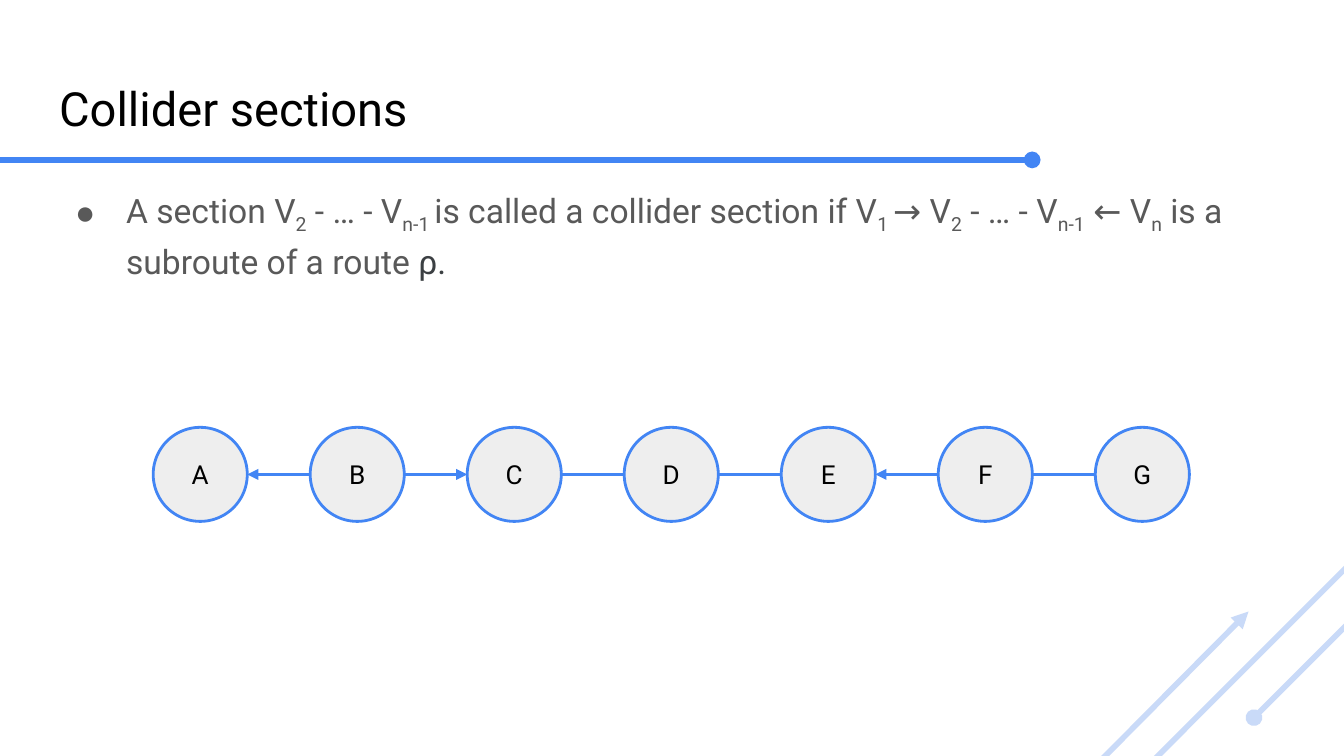
from lxml import etree
from pptx import Presentation
from pptx.dml.color import RGBColor
from pptx.enum import shapes, text
from pptx.oxml import ns
from pptx.util import Inches, Pt

BLUE = RGBColor(0x42, 0x85, 0xF4)
PALE_BLUE = RGBColor(0xC9, 0xDA, 0xF8)
NODE_FILL = RGBColor(0xEE, 0xEE, 0xEE)
BLACK = RGBColor(0, 0, 0)
GREY = RGBColor(0x59, 0x59, 0x59)
DARK_GREY = RGBColor(0x3C, 0x40, 0x43)
FONT = "Roboto"
BULLET_FONT = "Arial"

# Content
TITLE = "Collider sections"
DEFINITION = [  # text, is subscript, colour
    ("A section V", False, GREY), ("2", True, GREY),
    (" - … - V", False, GREY), ("n-1 ", True, GREY),
    ("is called a collider section if V", False, GREY), ("1 ", True, GREY),
    ("→ V", False, GREY), ("2", True, GREY),
    (" - … - V", False, GREY), ("n-1", True, GREY),
    (" ← V", False, GREY), ("n", True, GREY),
    (" is a subroute of a route ", False, GREY), ("ρ.", False, DARK_GREY),
]
NODES = "ABCDEFG"
EDGES = ["←", "→", "-", "-", "←", "-"]  # between neighbouring nodes
DECORATIONS = [  # start, end, colour, end marks
    ((-0.08, 1.19), (7.68, 1.19), BLUE, {"tailEnd": "oval"}),
    ((9.33, 5.34), (10.42, 4.25), PALE_BLUE, {"headEnd": "oval"}),
    ((8.34, 5.9), (10.07, 4.17), PALE_BLUE, {}),
    ((9.29, 4.55), (8.04, 5.81), PALE_BLUE, {"headEnd": "triangle"}),
]

# Node row
NODE_LEFT, NODE_TOP, NODE_SIZE = 1.14, 3.18, 0.7
NODE_STEP = 7.01 / (len(NODES) - 1)


def add_child(parent, tag, **attributes):
    return etree.SubElement(parent, ns.qn(tag), attributes)


def set_font(font, size, color=None):
    font.name, font.size = FONT, Pt(size)
    if color is not None:
        font.color.rgb = color


def set_frame(frame, anchor):
    frame.word_wrap = True
    frame.auto_size = text.MSO_AUTO_SIZE.NONE
    frame.vertical_anchor = anchor
    frame.margin_left = frame.margin_right = Inches(0.1)
    frame.margin_top = frame.margin_bottom = Inches(0.1)


def add_line(slide, start, end, color, width, marks):
    points = [Inches(value) for value in (*start, *end)]
    line = slide.shapes.add_connector(shapes.MSO_CONNECTOR.STRAIGHT, *points)
    line.line.color.rgb = color
    line.line.width = Pt(width)
    outline = line.line._get_or_add_ln()
    for tag, kind in marks.items():
        add_child(outline, f"a:{tag}", type=kind)
    add_child(line._element.spPr, "a:effectLst")


def add_title(slide):
    title = slide.shapes.title
    title.left, title.top = Inches(0.34), Inches(0.49)
    title.width, title.height = Inches(9.32), Inches(0.63)
    set_frame(title.text_frame, text.MSO_ANCHOR.TOP)
    title.text_frame.text = TITLE
    paragraph = title.text_frame.paragraphs[0]
    paragraph.alignment = text.PP_ALIGN.LEFT
    set_font(paragraph.font, 25.2, BLACK)


def add_definition(slide):
    box = slide.shapes.add_textbox(
        Inches(0.34), Inches(1.26), Inches(9.32), Inches(3.74))
    set_frame(box.text_frame, text.MSO_ANCHOR.TOP)
    paragraph = box.text_frame.paragraphs[0]
    paragraph.line_spacing = 1.15
    properties = paragraph._p.get_or_add_pPr()
    properties.set("marL", str(Inches(0.5)))
    properties.set("indent", str(Inches(-0.38)))
    bullet_color = add_child(properties, "a:buClr")
    add_child(bullet_color, "a:srgbClr", val=str(GREY))
    add_child(properties, "a:buFont", typeface=BULLET_FONT)
    add_child(properties, "a:buChar", char="●")
    set_font(paragraph.font, 18)
    for words, is_subscript, color in DEFINITION:
        run = paragraph.add_run()
        run.text = words
        run.font.color.rgb = color
        if is_subscript:
            run.font._element.set("baseline", "-25000")


def add_node(slide, label, left):
    node = slide.shapes.add_shape(
        shapes.MSO_SHAPE.OVAL, Inches(left), Inches(NODE_TOP),
        Inches(NODE_SIZE), Inches(NODE_SIZE))
    node.shadow.inherit = False
    node.fill.solid()
    node.fill.fore_color.rgb = NODE_FILL
    node.line.color.rgb = BLUE
    node.line.width = Pt(1.5)
    set_frame(node.text_frame, text.MSO_ANCHOR.MIDDLE)
    node.text_frame.text = label
    paragraph = node.text_frame.paragraphs[0]
    paragraph.alignment = text.PP_ALIGN.CENTER
    set_font(paragraph.font, 14, BLACK)


def add_route(slide):
    lefts = [NODE_LEFT + index * NODE_STEP for index in range(len(NODES))]
    for label, left in zip(NODES, lefts):
        add_node(slide, label, left)
    middle = NODE_TOP + NODE_SIZE / 2
    marks = {"←": {"headEnd": "triangle"}, "→": {"tailEnd": "triangle"}, "-": {}}
    for edge, left, next_left in zip(EDGES, lefts, lefts[1:]):
        add_line(slide, (left + NODE_SIZE, middle), (next_left, middle),
                 BLUE, 1.5, marks[edge])


def main():
    presentation = Presentation()
    # Widescreen, 16:9
    presentation.slide_width = Inches(10)
    presentation.slide_height = presentation.slide_width * 9 // 16
    slide = presentation.slides.add_slide(presentation.slide_layouts[5])
    add_title(slide)
    for start, end, color, marks in DECORATIONS:
        add_line(slide, start, end, color, 3, marks)
    add_definition(slide)
    add_route(slide)
    presentation.save("out.pptx")


if __name__ == "__main__":
    main()
